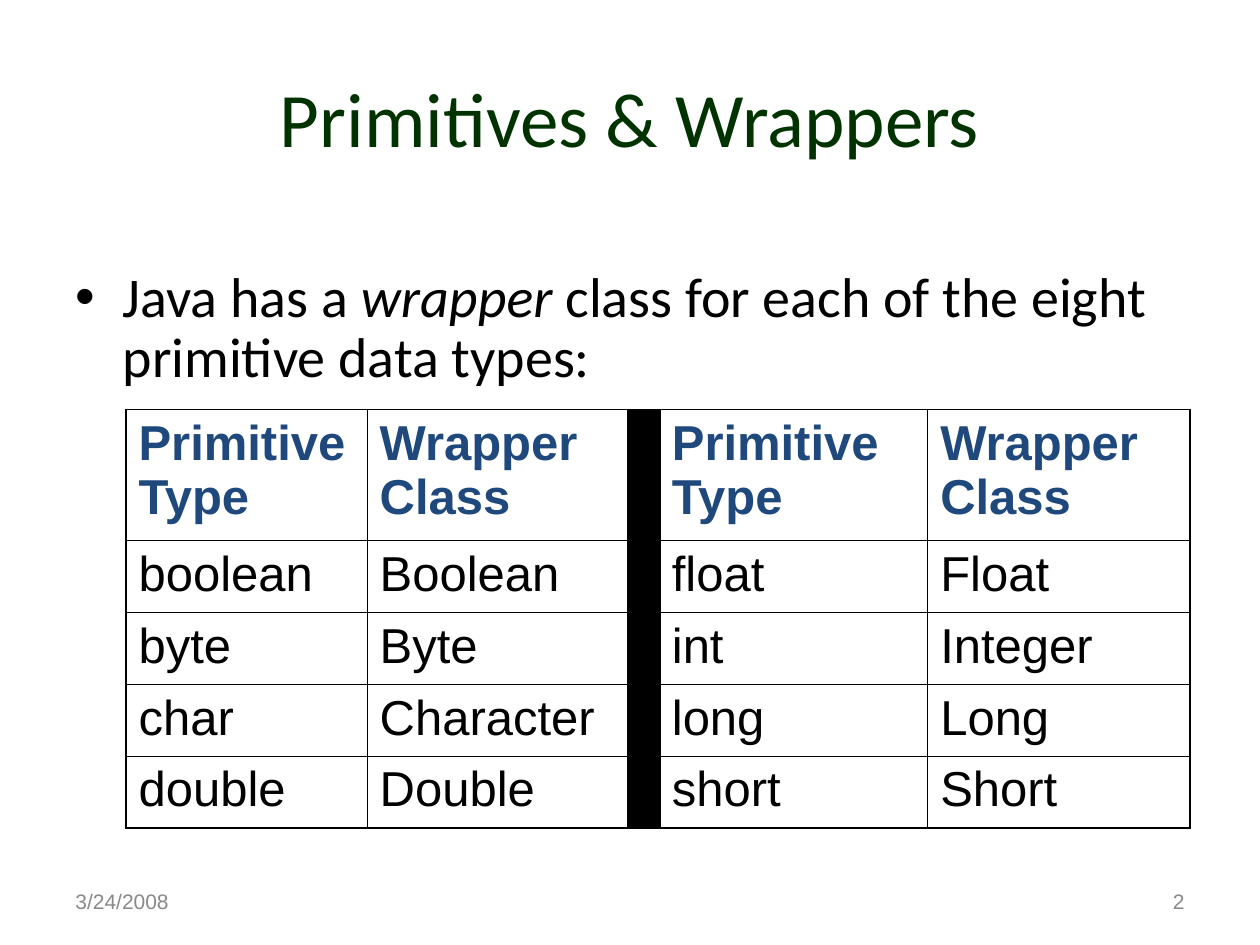
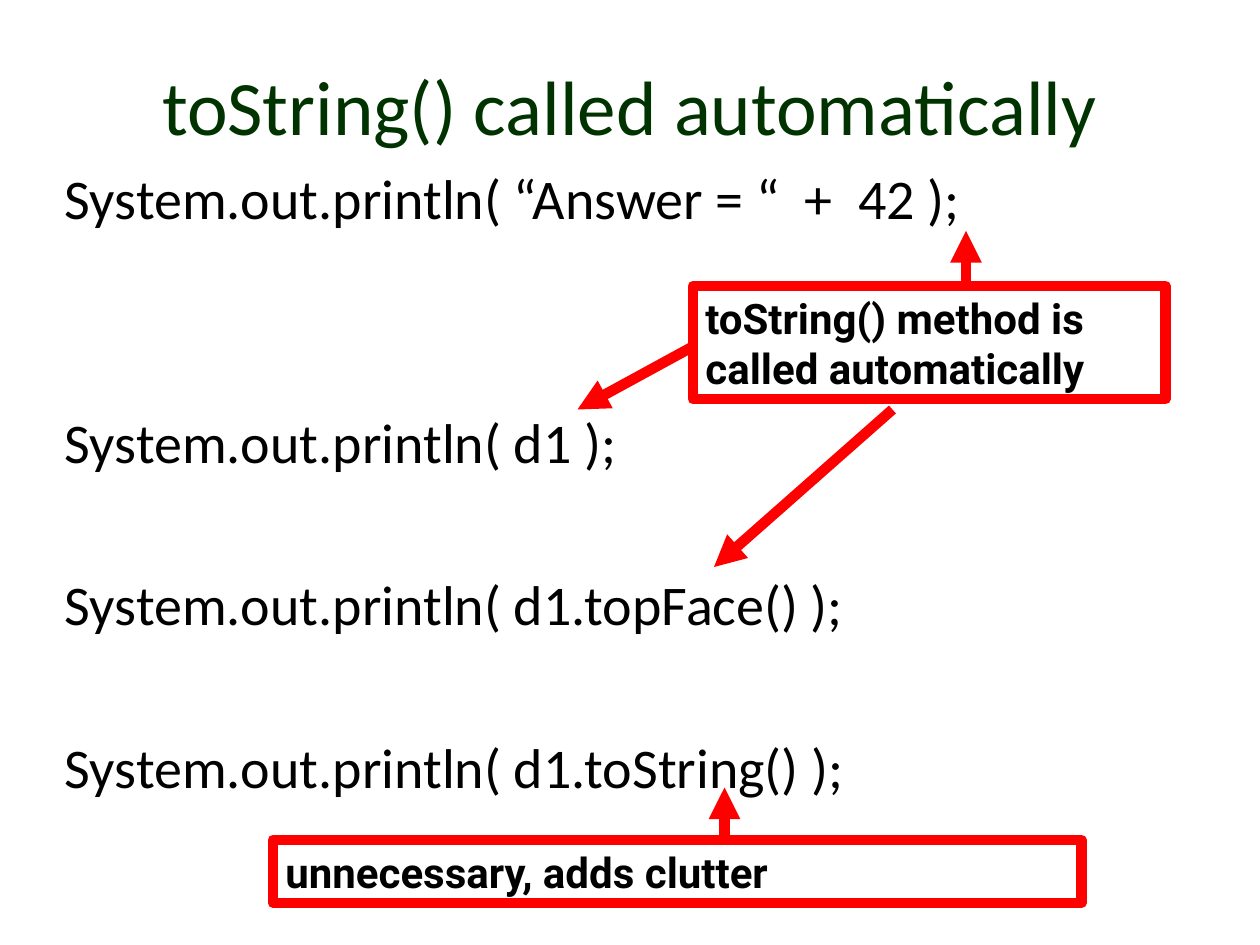
"""Builds two slides on Java wrapper classes and toString()."""
import pptx
import pptx.dml.color
import pptx.enum.shapes
import pptx.enum.text
import pptx.oxml
import pptx.oxml.ns
import pptx.util

Pt = pptx.util.Pt
ALIGN = pptx.enum.text.PP_ALIGN
ANCHOR = pptx.enum.text.MSO_ANCHOR
SHAPE = pptx.enum.shapes.MSO_SHAPE
LINK = pptx.enum.shapes.MSO_CONNECTOR
NS = pptx.oxml.ns.nsdecls("a")
BLACK, RED = "000000", "FF0000"
TITLE = {"name": "Calibri", "size": Pt(44), "hue": "003300"}
BODY = {"name": "Calibri", "size": Pt(32), "hue": BLACK}
FOOT = {"name": "Arial", "size": Pt(12), "hue": "898989"}
CELL = {"name": "Arial", "size": Pt(28), "hue": BLACK, "bold": False}
HEAD = CELL | {"hue": "1F497D", "bold": True}
NOTE = {"name": "Roboto", "size": Pt(24), "hue": BLACK, "bold": True}


def tint(color, code):
    """Sets a colour from a hex string."""
    color.rgb = pptx.dml.color.RGBColor.from_string(code)


def write(para, text, look, **form):
    """Fills a paragraph; words between asterisks are italic."""
    for key, value in form.items():
        setattr(para, key, value)
    for count, part in enumerate(text.split("*")):
        run = para.add_run()
        run.text = part
        for key, value in look.items():
            if key == "hue":
                tint(run.font.color, value)
            else:
                setattr(run.font, key, value)
        if count % 2:
            run.font.italic = True


deck = pptx.Presentation()
deck.slide_width, deck.slide_height = Pt(720), Pt(540)
slides = []
for text, top, high in [("Primitives & Wrappers", 21.6, 90),
                        ("toString() called automatically", 0, 120)]:
    slide = deck.slides.add_slide(deck.slide_layouts[5])
    title = slide.shapes.title
    title.left, title.top, title.width, title.height = map(Pt, (36, top, 648, high))
    title.text_frame.auto_size = pptx.enum.text.MSO_AUTO_SIZE.NONE
    title.text_frame.vertical_anchor = ANCHOR.MIDDLE
    write(title.text_frame.paragraphs[0], text, TITLE, alignment=ALIGN.CENTER)
    slides.append(slide)
types, calls = slides

intro = types.shapes.add_textbox(Pt(36), Pt(150), Pt(646.6), Pt(78))
intro.text_frame.word_wrap = True
para = intro.text_frame.paragraphs[0]
props = para._p.get_or_add_pPr()
props.set("marL", str(Pt(27)))
props.set("indent", str(-Pt(27)))
for bit in ['<a:buFont %s typeface="Arial"/>', '<a:buChar %s char="•"/>']:
    props.append(pptx.oxml.parse_xml(bit % NS))
write(para, "Java has a *wrapper* class for each of the eight primitive data types:",
      BODY, line_spacing=0.9)

for left, text, side in [(36, "3/24/2008", ALIGN.LEFT), (516, "2", ALIGN.RIGHT)]:
    foot = types.shapes.add_textbox(Pt(left), Pt(500.4), Pt(168), Pt(28.8))
    foot.text_frame.word_wrap = True
    foot.text_frame.vertical_anchor = ANCHOR.MIDDLE
    write(foot.text_frame.paragraphs[0], text, FOOT, alignment=side)

rows = [
    ("Primitive Type", "Wrapper Class", "", "Primitive Type", "Wrapper Class"),
    ("boolean", "Boolean", "", "float", "Float"),
    ("byte", "Byte", "", "int", "Integer"),
    ("char", "Character", "", "long", "Long"),
    ("double", "Double", "", "short", "Short"),
]
wide = [137.8, 149.4, 17.6, 153.4, 149.8]
tall = [75] + [41.1] * 4
across = [1.08, 0.45, 2.21, 2.21, 0.45, 1.08]
down = [1.08, 0.45, 0.45, 0.45, 0.45, 1.08]
table = types.shapes.add_table(5, 5, Pt(72), Pt(234), Pt(sum(wide)), Pt(sum(tall))).table
table.first_row = table.horz_banding = False
for col, size in zip(table.columns, wide):
    col.width = Pt(size)
for row, size in zip(table.rows, tall):
    row.height = Pt(size)
for r, row in enumerate(rows):
    for c, text in enumerate(row):
        cell = table.cell(r, c)
        props = cell._tc.get_or_add_tcPr()
        edges = {"L": across[c], "R": across[c + 1], "T": down[r], "B": down[r + 1]}
        for side, size in edges.items():
            props.append(pptx.oxml.parse_xml(
                f'<a:ln{side} {NS} w="{Pt(size)}"><a:solidFill>'
                f'<a:srgbClr val="{BLACK}"/></a:solidFill></a:ln{side}>'))
        if text:
            cell.fill.background()
            write(cell.text_frame.paragraphs[0], text, CELL if r else HEAD)
        else:
            cell.fill.solid()
            tint(cell.fill.fore_color, BLACK)

code = calls.shapes.add_textbox(Pt(30), Pt(90), Pt(672), Pt(396)).text_frame
code.word_wrap = True
lines = [("System.out.println( “Answer = “  +  42 );", 0),
         ("System.out.println( d1 );", 100.8),
         ("System.out.println( d1.topFace() );", 54.4),
         ("System.out.println( d1.toString() );", 54.4)]
for text, gap in lines:
    para = code.add_paragraph() if gap else code.paragraphs[0]
    write(para, text, BODY, space_before=Pt(gap))

notes = [
    ("toString() method is called automatically", (396, 163.4, 270, 64.8),
     [(552, 162, 552, 132), (396, 198, 330, 234), (510, 234, 408, 324)]),
    ("unnecessary, adds clutter", (156, 480, 462, 36), [(414, 480, 414, 450)]),
]
for text, place, arrows in notes:
    note = calls.shapes.add_shape(SHAPE.RECTANGLE, *map(Pt, place))
    note.shadow.inherit = False
    note.fill.background()
    note.text_frame.word_wrap = True
    note.text_frame.vertical_anchor = ANCHOR.TOP
    write(note.text_frame.paragraphs[0], text, NOTE, alignment=ALIGN.LEFT)
    links = [calls.shapes.add_connector(LINK.STRAIGHT, *map(Pt, ends)) for ends in arrows]
    for item in [note] + links:
        tint(item.line.color, RED)
        item.line.width = Pt(6)
    for link in links:
        link.line._get_or_add_ln().append(
            pptx.oxml.parse_xml(f'<a:tailEnd {NS} type="triangle"/>'))
        link._element.spPr.append(pptx.oxml.parse_xml(f"<a:effectLst {NS}/>"))

deck.save("out.pptx")
